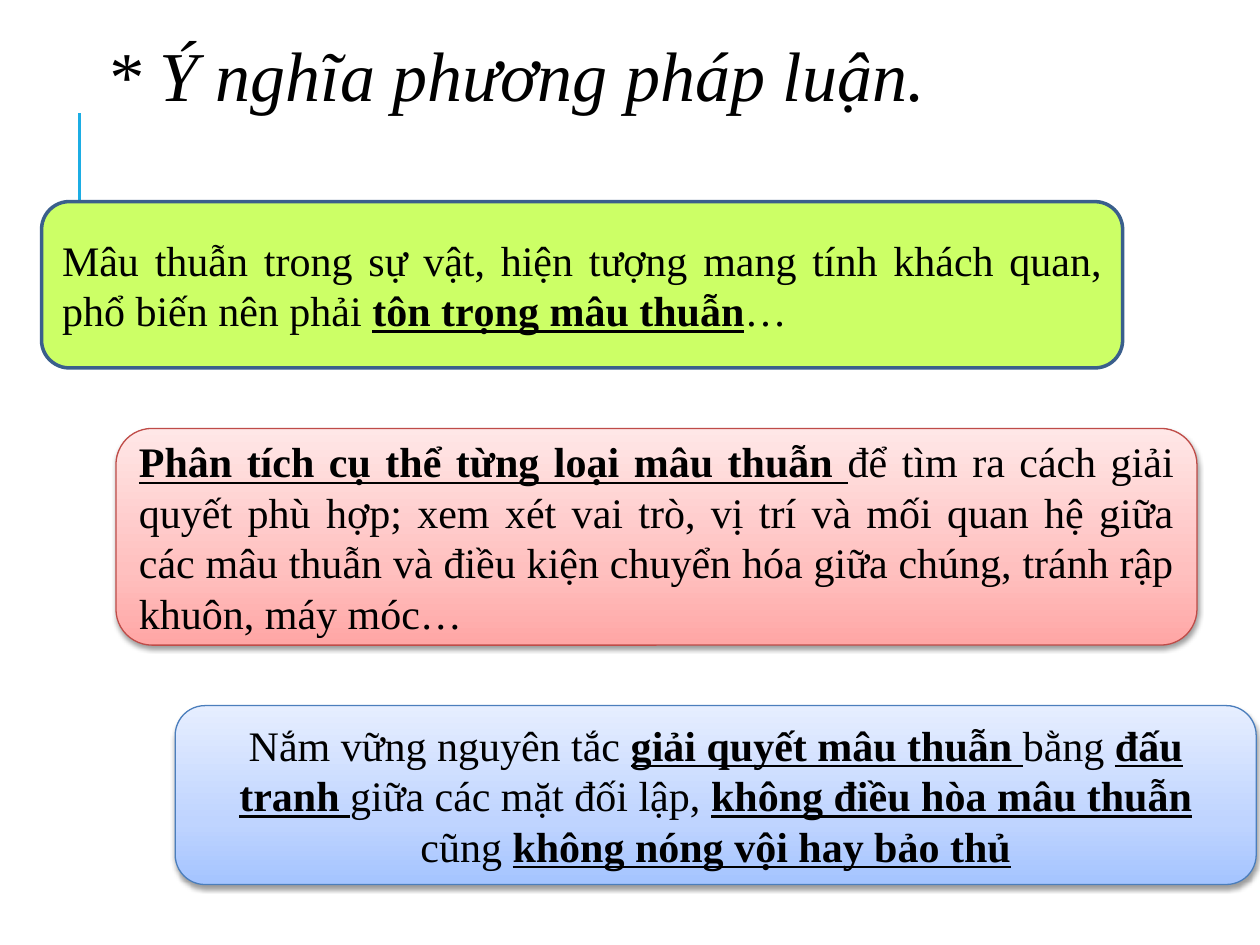
from dataclasses import dataclass

from pptx import Presentation
from pptx.dml.color import RGBColor
from pptx.enum import shapes, text
from pptx.oxml import parse_xml
from pptx.oxml.ns import nsdecls, qn
from pptx.util import Inches, Pt


@dataclass(frozen=True)
class Theme:
    font: str = "Times New Roman"
    title_size: int = 40
    body_size: int = 24
    ink: str = "000000"
    accent: str = "1CADE4"
    green: str = "CCFF66"
    green_line: str = "3A5F8C"
    red: tuple = ((0, "FFA6A5"), (35, "FFC0BF"), (100, "FFE7E7"))
    red_line: str = "BF4C48"
    blue: tuple = ((0, "A4C4FF"), (35, "BFD4FF"), (100, "E6EEFF"))
    blue_line: str = "4B7EBC"


class SlideBuilder:
    def __init__(self, slide, theme):
        self.slide = slide
        self.theme = theme

    def format_run(self, run, size, emphasis=False, italic=False):
        font = run.font
        font.name, font.size = self.theme.font, Pt(size)
        font.bold = font.underline = emphasis
        font.italic = italic
        font.color.rgb = RGBColor.from_string(self.theme.ink)

    def rule(self, x, top, bottom):
        line = self.slide.shapes.add_connector(
            shapes.MSO_CONNECTOR.STRAIGHT,
            Inches(x), Inches(bottom), Inches(x), Inches(top))
        line.line.color.rgb = RGBColor.from_string(self.theme.accent)
        line.line.width = Pt(1.5)
        line._element.spPr.append(parse_xml(f"<a:effectLst {nsdecls('a')}/>"))

    def title(self, words, left, top, width, height):
        box = self.slide.shapes.add_textbox(
            Inches(left), Inches(top), Inches(width), Inches(height))
        frame = box.text_frame
        frame.word_wrap = True
        frame.vertical_anchor = text.MSO_ANCHOR.MIDDLE
        frame.text = words
        paragraph = frame.paragraphs[0]
        paragraph.line_spacing = 0.9
        self.format_run(paragraph.runs[0], self.theme.title_size, italic=True)

    def card(self, words, left, top, height, line, line_width, align):
        """Add a rounded box; words between * marks are bold and underlined."""
        shape = self.slide.shapes.add_shape(
            shapes.MSO_SHAPE.ROUNDED_RECTANGLE,
            Inches(left), Inches(top), Inches(8.58), Inches(height))
        shape.shadow.inherit = False
        shape.line.color.rgb = RGBColor.from_string(line)
        shape.line.width = Pt(line_width)
        frame = shape.text_frame
        frame.word_wrap = True
        frame.vertical_anchor = text.MSO_ANCHOR.MIDDLE
        paragraph = frame.paragraphs[0]
        paragraph.alignment = align
        for index, part in enumerate(words.split("*")):
            if part:
                run = paragraph.add_run()
                run.text = part
                self.format_run(run, self.theme.body_size, emphasis=index % 2 == 1)
        return shape

    def flat_card(self, words, fill, **options):
        shape = self.card(words, **options)
        shape.fill.solid()
        shape.fill.fore_color.rgb = RGBColor.from_string(fill)

    def raised_card(self, words, stops, **options):
        """Add a card with an upward gradient and a soft shadow below."""
        shape = self.card(words, **options)
        shape.fill.gradient()
        properties = shape._element.spPr
        stop_list = "".join(
            f'<a:gs pos="{position * 1000}"><a:srgbClr val="{color}"/></a:gs>'
            for position, color in stops)
        properties.replace(properties.find(qn("a:gradFill")), parse_xml(
            f'<a:gradFill {nsdecls("a")} rotWithShape="1"><a:gsLst>{stop_list}</a:gsLst>'
            '<a:lin ang="16200000" scaled="0"/></a:gradFill>'))
        properties.find(qn("a:effectLst")).append(parse_xml(
            f'<a:outerShdw {nsdecls("a")} blurRad="{Pt(3.1)}" dist="{Pt(1.6)}" '
            'dir="5400000" rotWithShape="0"><a:srgbClr val="000000">'
            '<a:alpha val="38000"/></a:srgbClr></a:outerShdw>'))


def main():
    presentation = Presentation()
    presentation.slide_width, presentation.slide_height = Inches(10), Inches(7.5)
    theme = Theme()
    builder = SlideBuilder(
        presentation.slides.add_slide(presentation.slide_layouts[6]), theme)
    justify, center = text.PP_ALIGN.JUSTIFY, text.PP_ALIGN.CENTER

    builder.rule(0.63, top=0.9, bottom=1.9)
    builder.title("* Ý nghĩa phương pháp luận.", 0.75, 0.25, 8.5, 0.75)
    builder.flat_card(
        "Mâu thuẫn trong sự vật, hiện tượng mang tính khách quan, phổ biến "
        "nên phải *tôn trọng mâu thuẫn*…",
        theme.green, left=0.33, top=1.6, height=1.32,
        line=theme.green_line, line_width=2, align=justify)
    builder.raised_card(
        "*Phân tích cụ thể từng loại mâu thuẫn *để tìm ra cách giải quyết phù hợp; "
        "xem xét vai trò, vị trí và mối quan hệ giữa các mâu thuẫn và điều kiện "
        "chuyển hóa giữa chúng, tránh rập khuôn, máy móc…",
        theme.red, left=0.92, top=3.4, height=1.72,
        line=theme.red_line, line_width=0.75, align=justify)
    builder.raised_card(
        "Nắm vững nguyên tắc *giải quyết mâu thuẫn *bằng *đấu tranh *giữa các mặt "
        "đối lập, *không điều hòa mâu thuẫn *cũng *không nóng vội hay bảo thủ*",
        theme.blue, left=1.39, top=5.6, height=1.42,
        line=theme.blue_line, line_width=0.75, align=center)
    presentation.save("out.pptx")


if __name__ == "__main__":
    main()
